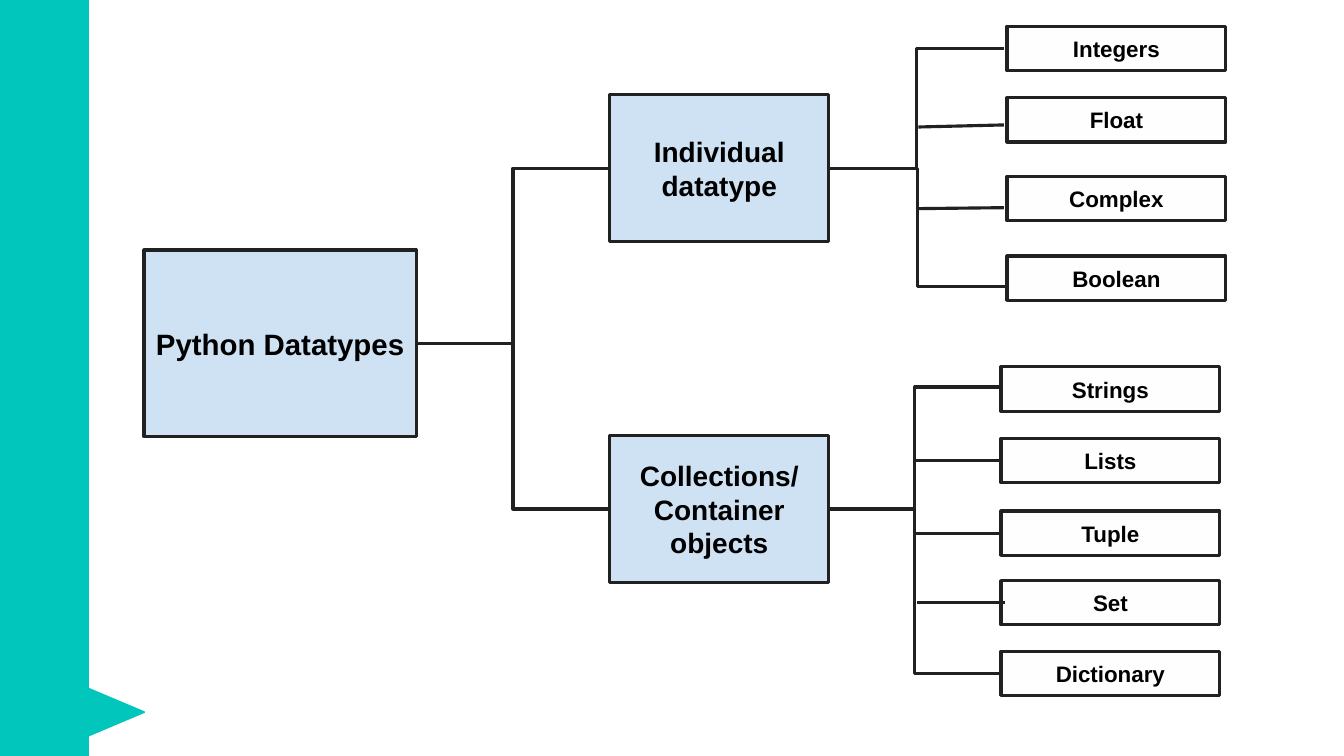
from dataclasses import dataclass

from pptx import Presentation
from pptx.dml.color import RGBColor
from pptx.enum.shapes import MSO_CONNECTOR as LINK, MSO_SHAPE as SHAPE
from pptx.enum.text import MSO_ANCHOR, PP_ALIGN
from pptx.oxml.ns import qn
from pptx.util import Inches, Pt
from lxml.etree import SubElement

WIDTH, HEIGHT = Inches(13.33), Inches(7.5)


@dataclass(frozen=True)
class Theme:
    """Colours, type sizes and line widths."""
    font: str = "Arial"
    accent: str = "00C6BB"
    node: str = "CFE2F3"
    leaf: str = "FEFEFE"
    ink: str = "212121"
    text: str = "000000"
    root_size: int = 21
    node_size: int = 20
    leaf_size: int = 16
    line: float = 2.25
    thin: float = 1.25


THEME = Theme()

# Every length is a percentage of the slide's width or height.
ROOT = (10.72, 33.07, 20.25, 24.67)
NODE_LEFT, NODE_W, NODE_H = 45.38, 16.28, 19.47
LEAF_H = 5.87

# Leaves: text, top, wire end (x, y), and wire start (x, y) for a straight
# branch or None for an elbow that leaves the node.
BRANCHES = [
    ("Individual datatype", 12.53, 74.93, [
        ("Integers", 3.47, (74.7, 6.4), None),
        ("Float", 12.93, (74.7, 16.53), (68.33, 16.8)),
        ("Complex", 23.33, (74.7, 27.47), (68.33, 27.6)),
        ("Boolean", 33.87, (74.93, 37.87), None),
    ]),
    ("Collections/ Container objects", 57.6, 74.48, [
        ("Strings", 48.53, (74.48, 51.2), None),
        ("Lists", 58, (74.48, 60.93), (68.03, 60.93)),
        ("Tuple", 67.6, (74.48, 70.53), (68.03, 70.53)),
        ("Set", 76.8, (74.78, 79.73), (68.25, 79.73)),
        ("Dictionary", 86.13, (74.48, 89.07), None),
    ]),
]


def x(share):
    """Turn a percentage of the slide's width into a length."""
    return int(WIDTH * share / 100)


def y(share):
    """Turn a percentage of the slide's height into a length."""
    return int(HEIGHT * share / 100)


def add_block(slide, box, kind=SHAPE.RECTANGLE, *, fill, line, width):
    """Add a flat filled shape in a (left, top, width, height) box."""
    left, top, w, h = box
    sp = slide.shapes.add_shape(kind, x(left), y(top), x(w), y(h))
    sp.shadow.inherit = False
    sp.fill.solid()
    sp.fill.fore_color.rgb = RGBColor.from_string(fill)
    sp.line.color.rgb = RGBColor.from_string(line)
    sp.line.width = Pt(width)
    return sp


def write(sp, text, *, size):
    """Write bold centred text in a shape."""
    tf = sp.text_frame
    tf.word_wrap = True
    tf.vertical_anchor = MSO_ANCHOR.MIDDLE
    tf.margin_left = tf.margin_right = Inches(0.1)
    tf.margin_top = tf.margin_bottom = Inches(0.1)
    p = tf.paragraphs[0]
    p.alignment = PP_ALIGN.CENTER
    r = p.add_run()
    r.text = text
    r.font.name, r.font.size, r.font.bold = THEME.font, Pt(size), True
    r.font.color.rgb = RGBColor.from_string(THEME.text)


def add_box(slide, text, box, *, fill, size):
    """Add an outlined box with a label."""
    sp = add_block(slide, box, fill=fill, line=THEME.ink, width=THEME.line)
    write(sp, text, size=size)


def add_wire(slide, start, end, kind=LINK.ELBOW):
    """Join two points with a line."""
    cn = slide.shapes.add_connector(
        kind, x(start[0]), y(start[1]), x(end[0]), y(end[1]))
    cn.line.color.rgb = RGBColor.from_string(THEME.ink)
    cn.line.width = Pt(THEME.line)
    SubElement(cn._element.spPr, qn("a:effectLst"))


def add_sidebar(slide):
    """Add the side band and its pointer."""
    style = dict(fill=THEME.accent, line=THEME.accent, width=THEME.thin)
    pointer = add_block(slide, (3.6, 87.33, 6.53, 13.73),
                        SHAPE.ISOSCELES_TRIANGLE, **style)
    pointer.rotation = 90
    add_block(slide, (0, 0, 6.53, 100), **style)


def add_branch(slide, root_exit, text, top, leaf_left, leaves):
    """Add a node with its leaves and the wires to them."""
    middle = top + NODE_H / 2
    node_exit = (NODE_LEFT + NODE_W, middle)
    add_wire(slide, root_exit, (NODE_LEFT, middle))
    add_box(slide, text, (NODE_LEFT, top, NODE_W, NODE_H),
            fill=THEME.node, size=THEME.node_size)
    for label, leaf_top, end, start in leaves:
        add_box(slide, label, (leaf_left, leaf_top, NODE_W, LEAF_H),
                fill=THEME.leaf, size=THEME.leaf_size)
        if start:
            add_wire(slide, start, end, LINK.STRAIGHT)
        else:
            add_wire(slide, node_exit, end)


def main():
    """Build the slide and save it."""
    prs = Presentation()
    prs.slide_width, prs.slide_height = WIDTH, HEIGHT
    slide = prs.slides.add_slide(prs.slide_layouts[6])
    add_sidebar(slide)
    add_box(slide, "Python Datatypes", ROOT,
            fill=THEME.node, size=THEME.root_size)
    left, top, w, h = ROOT
    for branch in BRANCHES:
        add_branch(slide, (left + w, top + h / 2), *branch)
    prs.save("out.pptx")


main()
